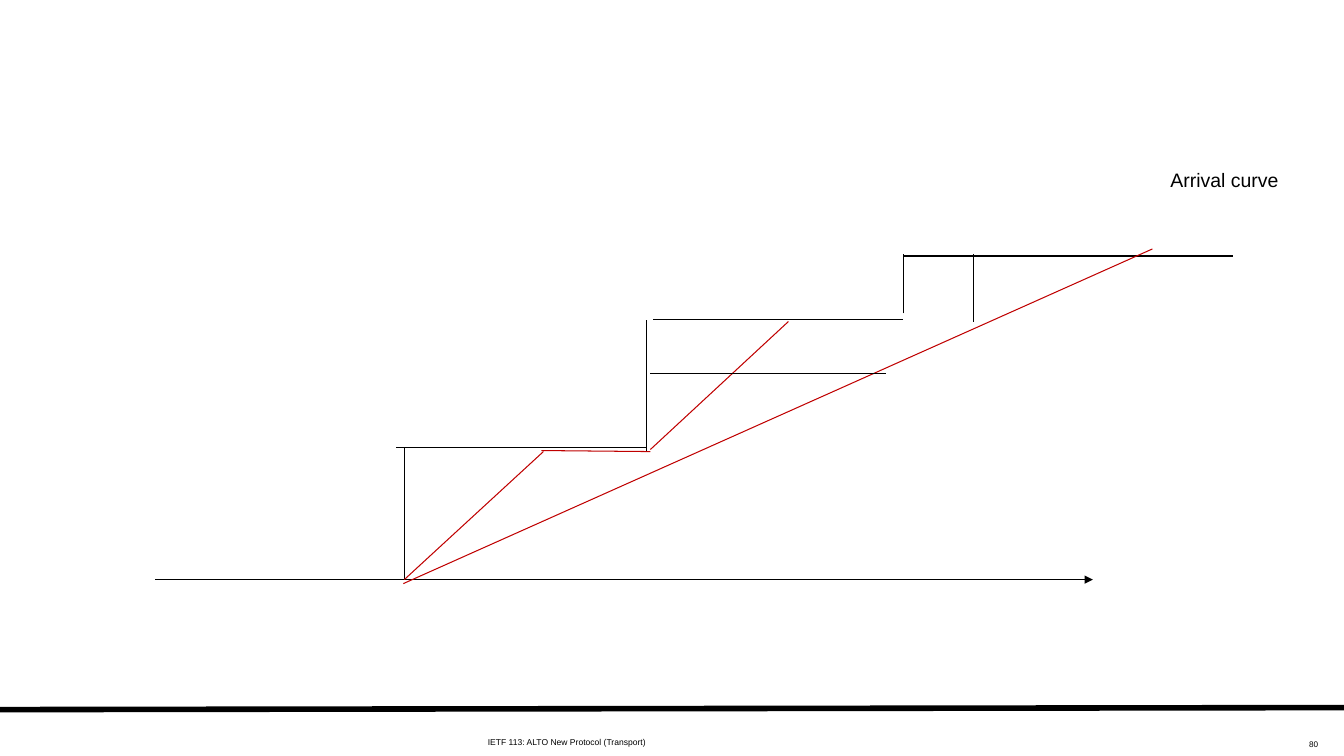
from dataclasses import dataclass

import pptx
import pptx.dml.color
import pptx.enum.shapes
import pptx.enum.text
import pptx.oxml.ns
import pptx.util
from lxml import etree
from pptx.util import Inches


@dataclass(frozen=True)
class Theme:
    font: str = "Arial"
    black: str = "000000"
    red: str = "C00000"
    thin: float = 0.75
    rule: float = 4
    label_size: float = 24
    footer_size: float = 10.5
    number_size: float = 10
    subscript: str = "-25000"


THEME = Theme()


@dataclass(frozen=True)
class Segment:
    x1: float
    y1: float
    x2: float
    y2: float
    color: str = THEME.black
    width: float = THEME.thin
    arrow: bool = False


@dataclass(frozen=True)
class Label:
    text: str
    left: float
    top: float
    width: float
    height: float
    size: float
    right_aligned: bool = False


def draw_segment(s: pptx.slide.Slide, seg: Segment) -> None:
    line = s.shapes.add_connector(
        pptx.enum.shapes.MSO_CONNECTOR.STRAIGHT,
        Inches(seg.x1), Inches(seg.y1), Inches(seg.x2), Inches(seg.y2))
    line.line.color.rgb = pptx.dml.color.RGBColor.from_string(seg.color)
    line.line.width = pptx.util.Pt(seg.width)
    if seg.arrow:
        ln = line.line._get_or_add_ln()
        etree.SubElement(ln, pptx.oxml.ns.qn("a:tailEnd"), type="triangle")
    etree.SubElement(line._element.spPr, pptx.oxml.ns.qn("a:effectLst"))


def draw_label(s: pptx.slide.Slide, label: Label) -> None:
    sp = s.shapes.add_textbox(Inches(label.left), Inches(label.top),
                              Inches(label.width), Inches(label.height))
    tf = sp.text_frame
    p = tf.paragraphs[0]
    if label.right_aligned:
        tf.word_wrap = True
        p.alignment = pptx.enum.text.PP_ALIGN.RIGHT
    else:
        tf.word_wrap = False
        tf.auto_size = pptx.enum.text.MSO_AUTO_SIZE.SHAPE_TO_FIT_TEXT
    p.font.name = THEME.font
    p.font.size = pptx.util.Pt(label.size)
    p.font.color.rgb = pptx.dml.color.RGBColor.from_string(THEME.black)
    r = p.add_run()
    r.text = label.text
    r._r.get_or_add_rPr().set("baseline", THEME.subscript)


# Footer rule and time axis
FRAME = [
    Segment(0, 7.04, 13.33, 7.02, width=THEME.rule),
    Segment(1.54, 5.75, 10.84, 5.75, arrow=True),
]

# Staircase of arrivals: treads, then risers
STAIRS = [
    Segment(1.54, 5.75, 4.01, 5.75),
    Segment(3.93, 4.44, 6.41, 4.44),
    Segment(6.48, 3.17, 8.96, 3.17),
    Segment(8.96, 2.54, 12.23, 2.54),
    Segment(4.01, 5.75, 4.01, 4.44),
    Segment(6.41, 4.48, 6.41, 3.17),
    Segment(8.96, 3.11, 8.96, 2.52),
]

# Service curves and the long-run rate
CURVES = [
    Segment(4.01, 5.75, 5.39, 4.48, THEME.red),
    Segment(6.45, 4.46, 7.82, 3.19, THEME.red),
    Segment(5.37, 4.47, 6.45, 4.48, THEME.red),
    Segment(4, 5.79, 11.43, 2.47, THEME.red),
]

# Vertical and horizontal gaps between the curves
GAPS = [
    Segment(9.66, 2.52, 9.66, 3.19),
    Segment(6.45, 3.71, 8.79, 3.71),
]

LABELS = [
    Label("IETF 113: ALTO New Protocol (Transport)",
          4.74, 7.16, 2.96, 0.28, THEME.footer_size),
    Label("80", 10.39, 7.19, 2.78, 0.33, THEME.number_size, right_aligned=True),
    Label("Arrival curve", 11.51, 1.39, 1.45, 0.37, THEME.label_size),
]


def main() -> None:
    prs = pptx.Presentation()
    prs.slide_width, prs.slide_height = Inches(13.33), Inches(7.5)
    s = prs.slides.add_slide(prs.slide_layouts[6])
    for seg in FRAME + STAIRS + CURVES + GAPS:
        draw_segment(s, seg)
    for label in LABELS:
        draw_label(s, label)
    prs.save("out.pptx")


if __name__ == "__main__":
    main()
